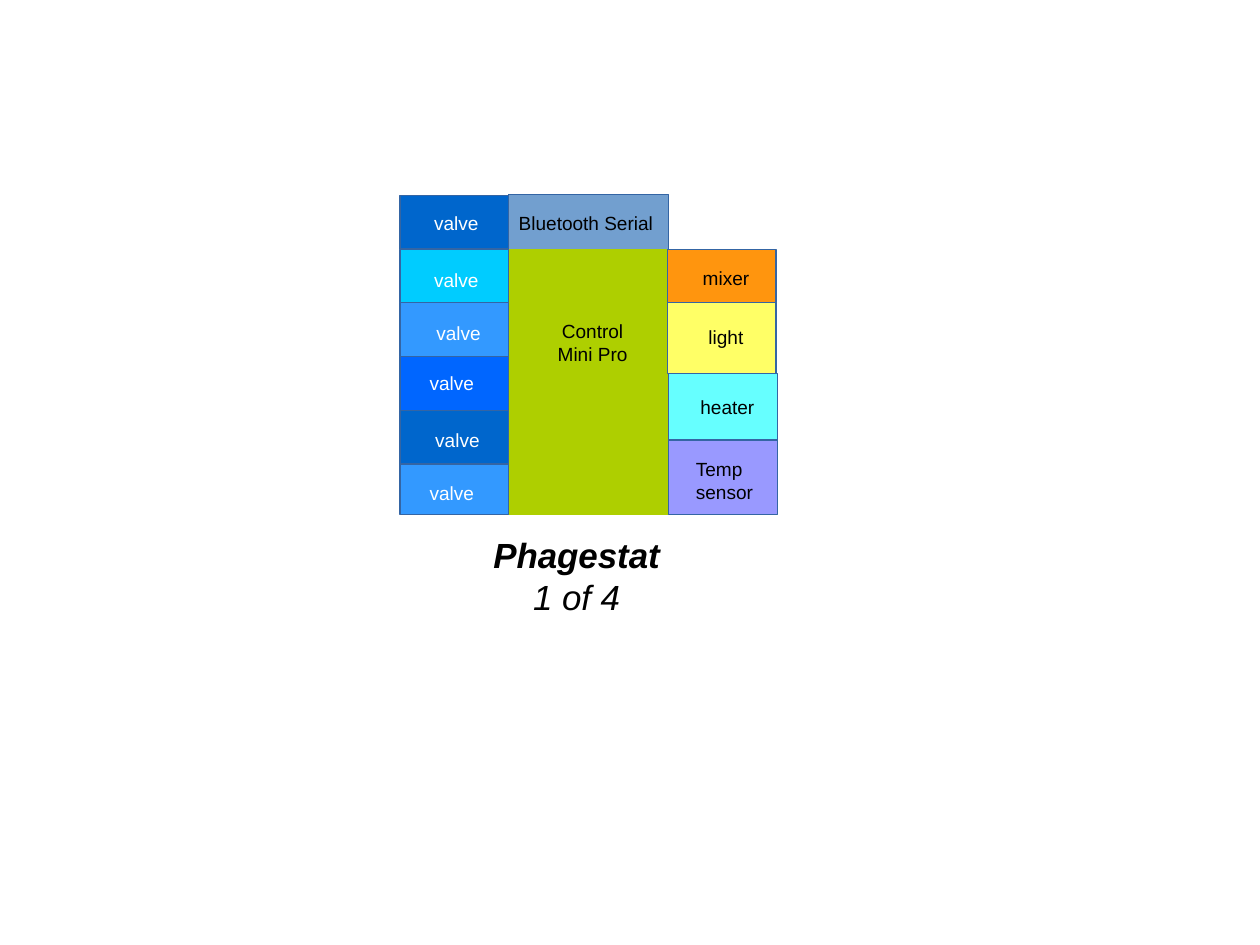
from dataclasses import dataclass

from pptx import Presentation
from pptx.dml.color import RGBColor
from pptx.enum.shapes import MSO_SHAPE
from pptx.enum.text import MSO_ANCHOR, MSO_AUTO_SIZE, PP_ALIGN
from pptx.shapes.autoshape import Shape
from pptx.slide import Slide
from pptx.util import Cm, Emu, Pt

PX = 9144  # one px is a hundredth of an inch
FONT = "Arial"
COLORS = {
    "outline": "3465A4", "black": "000000", "white": "FFFFFF",
    "serial": "729FCF", "board": "AECF00",
    "mixer": "FF950E", "light": "FFFF66", "heater": "66FFFF", "sensor": "9999FF",
    "navy": "0066CC", "cyan": "00CCFF", "sky": "3399FF", "blue": "0066FF",
}
VALVE_LEFT, VALVE_TOP, VALVE_PITCH, STACK_BOTTOM = 350, 171, 47, 450


@dataclass(frozen=True)
class Box:
    left: int
    top: int
    width: int
    height: int

    def emu(self) -> tuple[Emu, ...]:
        return tuple(Emu(n * PX) for n in (self.left, self.top, self.width, self.height))


@dataclass(frozen=True)
class Module:
    text: str
    fill: str
    body: Box
    label: Box
    ink: str = "black"
    outline: str = "outline"
    align: PP_ALIGN = PP_ALIGN.LEFT


def rgb(name: str) -> RGBColor:
    return RGBColor.from_string(COLORS[name])


def valves() -> list[Module]:
    """Stack the valves at an equal pitch, the last one ending with the board."""
    rows = [("navy", 370, 180), ("cyan", 370, 230), ("sky", 372, 276),
            ("blue", 366, 320), ("navy", 371, 370), ("sky", 366, 416)]
    stack = []
    for i, (fill, label_left, label_top) in enumerate(rows):
        top = VALVE_TOP + i * VALVE_PITCH
        height = min(VALVE_PITCH, STACK_BOTTOM - top)
        stack.append(Module("valve", fill, Box(VALVE_LEFT, top, 95, height),
                            Box(label_left, label_top, 74, 30), ink="white"))
    return stack


MODULES = [
    Module("Bluetooth Serial", "serial", Box(445, 170, 140, 48), Box(444, 180, 140, 30)),
    Module("Control\nMini Pro", "board", Box(445, 218, 140, 232), Box(463, 275, 111, 114),
           outline="board", align=PP_ALIGN.CENTER),
    Module("mixer", "mixer", Box(584, 218, 95, 47), Box(605, 228, 74, 32)),
    Module("light", "light", Box(584, 265, 95, 62), Box(610, 280, 63, 35)),
    Module("heater", "heater", Box(585, 327, 95, 58), Box(603, 341, 76, 30)),
    Module("Temp sensor", "sensor", Box(585, 385, 95, 65), Box(599, 395, 80, 51)),
    *valves(),
]


def write(holder: Shape, text: str, size: int, ink: str, align: PP_ALIGN) -> None:
    frame = holder.text_frame
    frame.text = text
    frame.word_wrap = True
    frame.auto_size = MSO_AUTO_SIZE.NONE
    frame.vertical_anchor = MSO_ANCHOR.TOP
    for paragraph in frame.paragraphs:
        paragraph.alignment = align
        paragraph.font.name = FONT
        paragraph.font.size = Pt(size)
        paragraph.font.color.rgb = rgb(ink)


def draw_module(slide: Slide, module: Module) -> None:
    body = slide.shapes.add_shape(MSO_SHAPE.RECTANGLE, *module.body.emu())
    body.shadow.inherit = False
    body.fill.solid()
    body.fill.fore_color.rgb = rgb(module.fill)
    body.line.color.rgb = rgb(module.outline)
    body.line.width = Pt(0)
    label = slide.shapes.add_textbox(*module.label.emu())
    write(label, module.text, 12, module.ink, module.align)


def draw_title(slide: Slide) -> None:
    title = slide.shapes.title
    title.left, title.top, title.width, title.height = Box(420, 462, 178, 78).emu()
    write(title, "Phagestat\n1 of 4", 22, "black", PP_ALIGN.CENTER)
    name, count = title.text_frame.paragraphs
    name.font.bold, count.font.bold = True, False
    name.font.italic = count.font.italic = True
    name._p.get_or_add_pPr().set("marR", str(9 * PX))


def main() -> None:
    deck = Presentation()
    deck.slide_width, deck.slide_height = Cm(28), Cm(21)
    slide = deck.slides.add_slide(deck.slide_layouts[5])
    draw_title(slide)
    for module in MODULES:
        draw_module(slide, module)
    deck.save("out.pptx")


if __name__ == "__main__":
    main()
